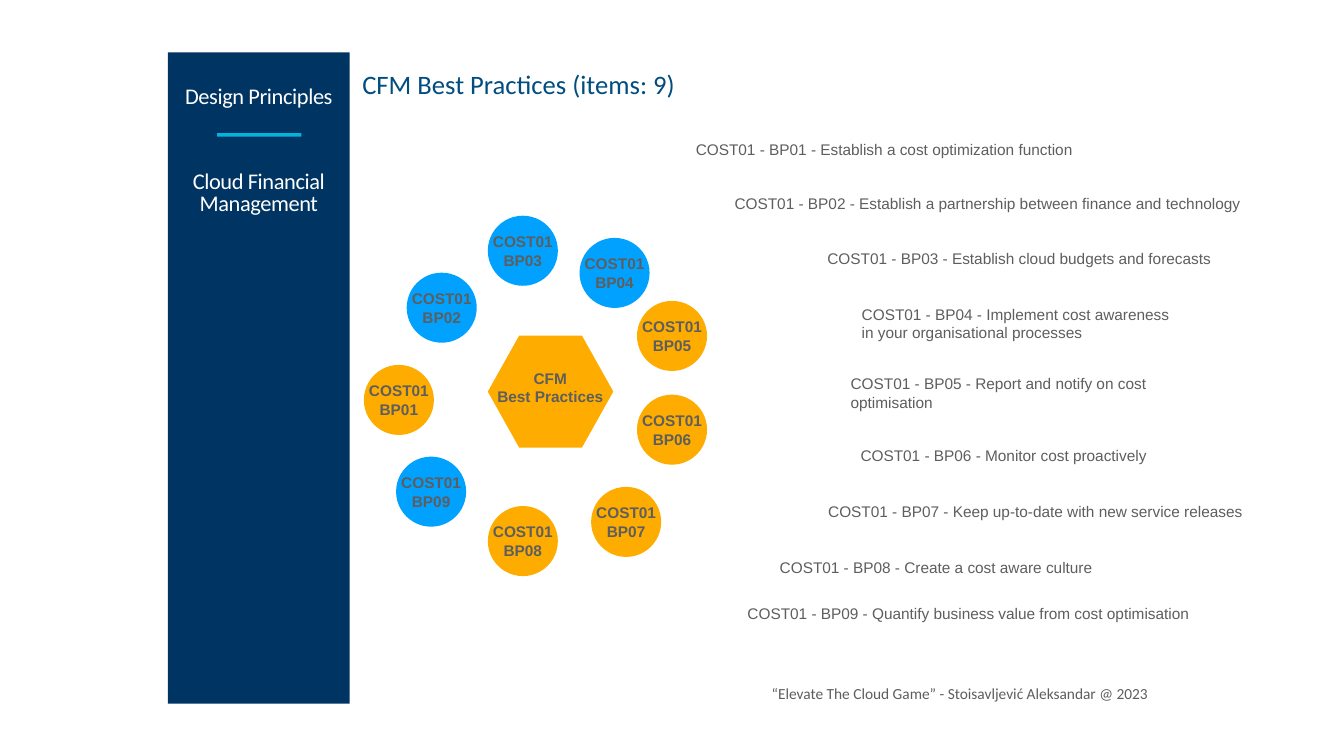
"""Build the slide of cost management best practices around a hexagon."""
from dataclasses import dataclass

from pptx import Presentation
from pptx.dml.color import RGBColor
from pptx.enum.shapes import MSO_SHAPE as Preset
from pptx.enum.text import MSO_ANCHOR as Anchor, PP_ALIGN as Align
from pptx.shapes.autoshape import Shape
from pptx.slide import Slide
from pptx.util import Inches, Pt

NAVY, TEAL, WHITE = "003462", "04B4DB", "FFFFFF"
BLUE, AMBER = "00A1FF", "FEAD00"
GREY, HEADING = "5E5E5E", "004D80"
PANEL_LEFT, PANEL_WIDTH = 3.33, 3.61
CIRCLE_SIZE = 1.39


@dataclass(frozen=True)
class Area:
    left: float
    top: float
    width: float
    height: float

    def lengths(self) -> tuple:
        return tuple(Inches(n) for n in (self.left, self.top, self.width, self.height))


@dataclass(frozen=True)
class Style:
    size: float = 22
    font: str = "Arial"
    color: str = GREY
    bold: bool = False
    align: Align = Align.CENTER
    spacing: float = 1.0
    tracking: int = 0
    inset: float = 0.08
    wrap: bool = False


@dataclass(frozen=True)
class Practice:
    number: int
    color: str
    circle: tuple[float, float]
    label: tuple[float, float, float]
    text: str


SIDEBAR = Style(32, "Calibri", WHITE, spacing=0.8, tracking=-60, wrap=True)
BADGE = Style(bold=True, inset=0)
PRACTICES = [
    Practice(1, AMBER, (7.22, 7.24), (13.66, 2.7, 7.77),
             "Establish a cost optimization function"),
    Practice(2, BLUE, (8.07, 5.41), (14.44, 3.78, 10.31),
             "Establish a partnership between finance and technology"),
    Practice(3, BLUE, (9.68, 4.28), (16.28, 4.86, 7.89),
             "Establish cloud budgets and forecasts"),
    Practice(4, BLUE, (11.5, 4.72), (17.02, 5.97, 6.41),
             "Implement cost awareness\nin your organisational processes"),
    Practice(5, AMBER, (12.64, 5.97), (16.8, 7.34, 6.21),
             "Report and notify on cost\noptimisation"),
    Practice(6, AMBER, (12.64, 7.83), (16.94, 8.77, 5.95),
             "Monitor cost proactively"),
    Practice(7, AMBER, (11.73, 9.66), (16.3, 9.88, 8.49),
             "Keep up-to-date with new service releases"),
    Practice(8, AMBER, (9.68, 10.04), (15.37, 10.99, 6.41),
             "Create a cost aware culture"),
    Practice(9, BLUE, (7.86, 9.06), (14.69, 11.91, 9.05),
             "Quantify business value from cost optimisation"),
]


def rgb(color: str) -> RGBColor:
    return RGBColor.from_string(color)


def write(shape: Shape, text: str, style: Style) -> None:
    frame = shape.text_frame
    frame.text = text
    frame.word_wrap = style.wrap
    frame.vertical_anchor = Anchor.MIDDLE
    frame.margin_left = frame.margin_right = Inches(style.inset)
    frame.margin_top = frame.margin_bottom = Inches(style.inset)
    for para in frame.paragraphs:
        para.alignment = style.align
        para.line_spacing = style.spacing
        for span in para.runs:
            span.font.size = Pt(style.size)
            span.font.name = style.font
            span.font.bold = style.bold
            span.font.color.rgb = rgb(style.color)
            if style.tracking:
                span.font._element.set("spc", str(style.tracking))


def add_text(page: Slide, area: Area, text: str, style: Style) -> None:
    write(page.shapes.add_textbox(*area.lengths()), text, style)


def add_filled(page: Slide, preset: Preset, area: Area, color: str) -> Shape:
    shape = page.shapes.add_shape(preset, *area.lengths())
    shape.shadow.inherit = False
    shape.fill.solid()
    shape.fill.fore_color.rgb = rgb(color)
    shape.line.fill.background()
    return shape


def add_sidebar(page: Slide) -> None:
    panel = add_filled(page, Preset.RECTANGLE,
                       Area(PANEL_LEFT, 1.04, PANEL_WIDTH, 12.92), NAVY)
    title = page.shapes.title
    title.left, title.top, title.width, title.height = Area(
        PANEL_LEFT, 1.25, PANEL_WIDTH, 1.39).lengths()
    write(title, "Design Principles", SIDEBAR)
    panel.element.addnext(title.element)
    add_filled(page, Preset.RECTANGLE, Area(4.31, 2.64, 1.67, 0.07), TEAL)
    add_text(page, Area(PANEL_LEFT, 3.15, PANEL_WIDTH, 1.39),
             "Cloud Financial\nManagement", SIDEBAR)


def add_hub(page: Slide) -> None:
    hexagon = add_filled(page, Preset.HEXAGON, Area(9.68, 6.66, 2.49, 2.22), AMBER)
    hexagon.adjustments[0] = 0.28
    add_text(page, Area(9.77, 7.24, 2.3, 0.9), "CFM\nBest Practices",
             Style(bold=True, wrap=True))


def add_practice(page: Slide, practice: Practice) -> None:
    code = f"BP{practice.number:02}"
    circle = add_filled(page, Preset.OVAL,
                        Area(*practice.circle, CIRCLE_SIZE, CIRCLE_SIZE), practice.color)
    write(circle, f"COST01\n{code}", BADGE)
    several = "\n" in practice.text
    add_text(page, Area(*practice.label, 0.9 if several else 0.52),
             f"COST01 - {code} - {practice.text}",
             Style(align=Align.LEFT if several else Align.CENTER))


def main() -> None:
    deck = Presentation()
    deck.slide_width, deck.slide_height = Inches(26.67), Inches(15)
    page = deck.slides.add_slide(deck.slide_layouts[5])
    add_sidebar(page)
    add_text(page, Area(14.79, 13.47, 8.51, 0.57),
             "“Elevate The Cloud Game” - Stoisavljević Aleksandar @ 2023",
             Style(font="Calibri"))
    add_text(page, Area(7.11, 1.23, 15.42, 0.88), "CFM Best Practices (items: 9)",
             Style(38, "Calibri", HEADING, align=Align.LEFT, wrap=True))
    add_hub(page)
    for practice in PRACTICES:
        add_practice(page, practice)
    deck.save("out.pptx")


if __name__ == "__main__":
    main()
